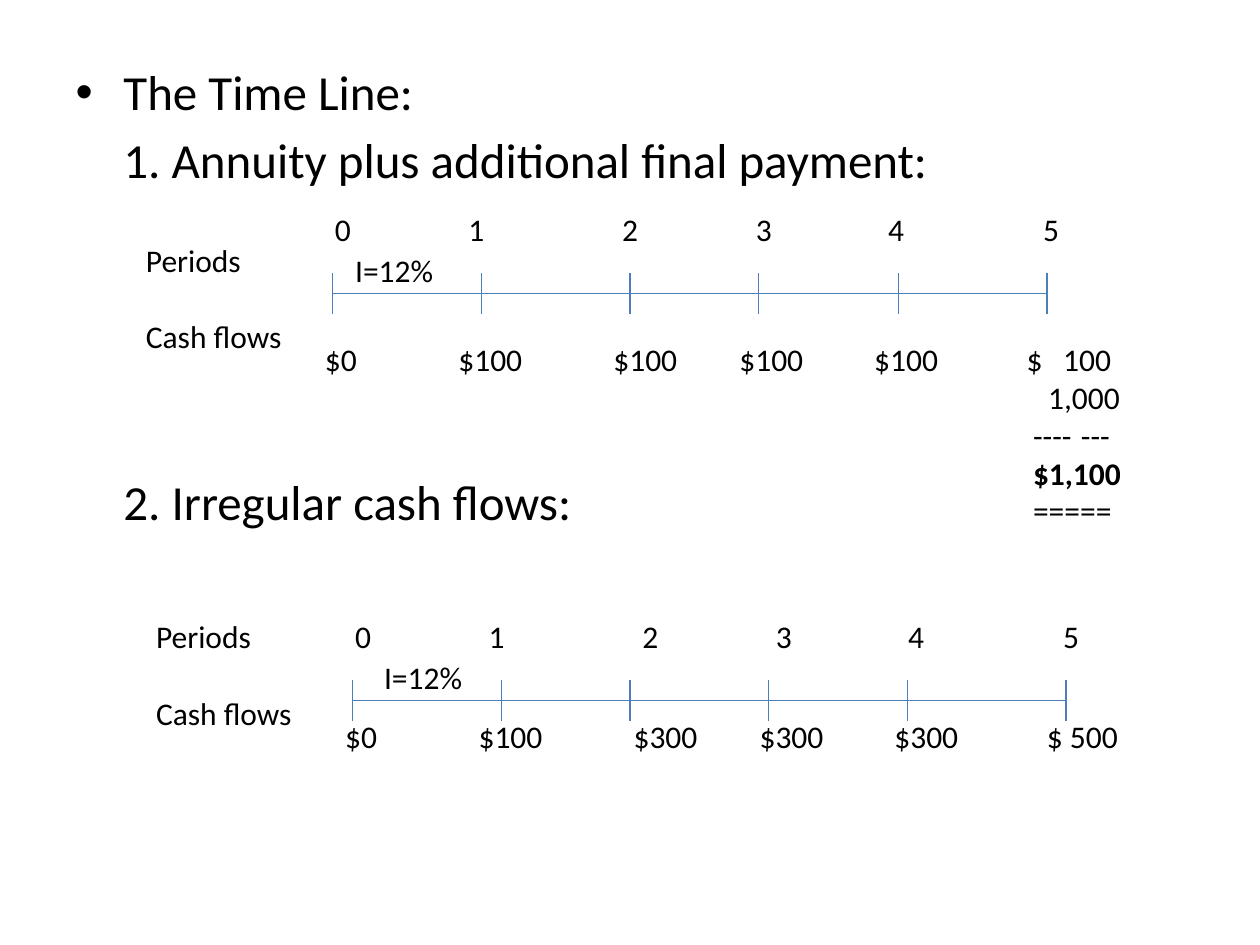
from dataclasses import dataclass

import pptx
import pptx.dml.color
import pptx.enum.shapes
import pptx.enum.text
import pptx.oxml.ns
import pptx.util
from lxml import etree
from pptx.util import Inches


@dataclass(frozen=True)
class Theme:
    font: str = "Calibri"
    text: str = "000000"
    line: str = "4B7EBC"
    body_size: float = 28
    label_size: float = 18
    line_width: float = 0.75


@dataclass(frozen=True)
class Row:
    """One line of text whose columns start at the tab stops."""
    text: str
    tabs: tuple[float, ...] = ()
    bold: bool = False
    space_before: float = 0


@dataclass(frozen=True)
class Box:
    left: float
    top: float
    width: float
    height: float
    rows: tuple[Row, ...]


@dataclass(frozen=True)
class Timeline:
    axis_y: float
    ticks: tuple[float, ...]
    boxes: tuple[Box, ...]


THEME = Theme()
TICK_HALF = 0.16
PERIOD_TABS = (1.06, 2.28, 3.34, 4.39, 5.62)
CASH_TABS = (1.06, 2.29, 3.29, 4.36, 5.57, 5.86)
PERIODS = (Row("0\t1\t2\t3\t4\t5", PERIOD_TABS),)
LABELS = (Row("Periods"), Row("Cash flows", space_before=22))
RATE = (Row("I=12%"),)

ANNUITY = Timeline(2.33, (2.64, 3.82, 5, 6.02, 7.13, 8.31), (
    Box(2.56, 1.62, 6.46, 0.4, PERIODS),
    Box(2.48, 2.65, 7.01, 1.62, (
        Row("$0\t$100\t$100\t$100\t$100\t$\t100", CASH_TABS),
        Row("\t1,000", (5.74,)),
        Row("\t----\t---", (5.62, 6)),
        Row("\t$1,100", (5.62,), bold=True),
        Row("\t=====", (5.62,)),
    )),
    Box(1.06, 1.86, 1.5, 1.01, LABELS),
    Box(2.72, 1.94, 1.02, 0.4, RATE),
))
IRREGULAR = Timeline(5.56, (2.8, 3.98, 5, 6.1, 7.2, 8.46), (
    Box(2.72, 4.85, 6.46, 0.4, PERIODS),
    Box(2.64, 5.64, 7.01, 0.71,
        (Row("$0\t$100\t$300\t$300\t$300\t$ 500", CASH_TABS),)),
    Box(1.14, 4.85, 1.5, 1.01, LABELS),
    Box(2.95, 5.17, 1.02, 0.4, RATE),
))


def write_text(paragraph, text: str, *, size: float, bold: bool = False,
               space_before: float = 0) -> None:
    run = paragraph.add_run()
    run.text = text
    run.font.name = THEME.font
    run.font.size = pptx.util.Pt(size)
    run.font.bold = bold
    run.font.color.rgb = pptx.dml.color.RGBColor.from_string(THEME.text)
    paragraph.space_before = pptx.util.Pt(space_before)


def set_bullet(paragraph, character: str | None) -> None:
    """Hang the bullet, or align plain text with the bulleted text."""
    properties = paragraph._p.get_or_add_pPr()
    indent = Inches(0.38)
    properties.set("marL", str(indent))
    properties.set("indent", str(-indent if character else 0))
    tag = "a:buChar" if character else "a:buNone"
    bullet = etree.SubElement(properties, pptx.oxml.ns.qn(tag))
    if character:
        bullet.set("char", character)


def set_tabs(paragraph, positions: tuple[float, ...]) -> None:
    if not positions:
        return
    properties = paragraph._p.get_or_add_pPr()
    tab_list = etree.SubElement(properties, pptx.oxml.ns.qn("a:tabLst"))
    for position in positions:
        etree.SubElement(tab_list, pptx.oxml.ns.qn("a:tab"),
                         pos=str(Inches(position)), algn="l")


def add_line(slide, start: tuple[float, float], end: tuple[float, float]) -> None:
    connector = slide.shapes.add_connector(
        pptx.enum.shapes.MSO_CONNECTOR.STRAIGHT,
        *(Inches(value) for value in (*start, *end)))
    connector.line.color.rgb = pptx.dml.color.RGBColor.from_string(THEME.line)
    connector.line.width = pptx.util.Pt(THEME.line_width)
    etree.SubElement(connector._element.spPr, pptx.oxml.ns.qn("a:effectLst"))


def add_box(slide, box: Box) -> None:
    shape = slide.shapes.add_textbox(
        *(Inches(value) for value in (box.left, box.top, box.width, box.height)))
    frame = shape.text_frame
    frame.word_wrap = True
    for index, row in enumerate(box.rows):
        paragraph = frame.add_paragraph() if index else frame.paragraphs[0]
        set_tabs(paragraph, row.tabs)
        write_text(paragraph, row.text, size=THEME.label_size, bold=row.bold,
                   space_before=row.space_before)


def add_timeline(slide, timeline: Timeline) -> None:
    y = timeline.axis_y
    add_line(slide, (timeline.ticks[0], y), (timeline.ticks[-1], y))
    for x in timeline.ticks:
        add_line(slide, (x, y - TICK_HALF), (x, y + TICK_HALF))
    for box in timeline.boxes:
        add_box(slide, box)


def fill_body(body) -> None:
    body.left, body.top = Inches(0.5), Inches(0.44)
    body.width, body.height = Inches(9), Inches(6.54)
    frame = body.text_frame
    frame.auto_size = pptx.enum.text.MSO_AUTO_SIZE.NONE
    # The wide gap before the last line leaves room for the first timeline
    lines = (("The Time Line:", "•", 0),
             ("1. Annuity plus additional final payment:", None, 5),
             ("2. Irregular cash flows:", None, 162))
    for index, (text, bullet, gap) in enumerate(lines):
        paragraph = frame.add_paragraph() if index else frame.paragraphs[0]
        set_bullet(paragraph, bullet)
        write_text(paragraph, text, size=THEME.body_size, space_before=gap)


def main() -> None:
    presentation = pptx.Presentation()
    presentation.slide_width = Inches(10)
    presentation.slide_height = Inches(7.5)
    slide = presentation.slides.add_slide(presentation.slide_layouts[1])

    # Headings sit in the body placeholder; the slide has no title
    title = slide.shapes.title._element
    title.getparent().remove(title)
    fill_body(slide.placeholders[1])

    # Both timelines
    for timeline in (ANNUITY, IRREGULAR):
        add_timeline(slide, timeline)

    presentation.save("out.pptx")


if __name__ == "__main__":
    main()
